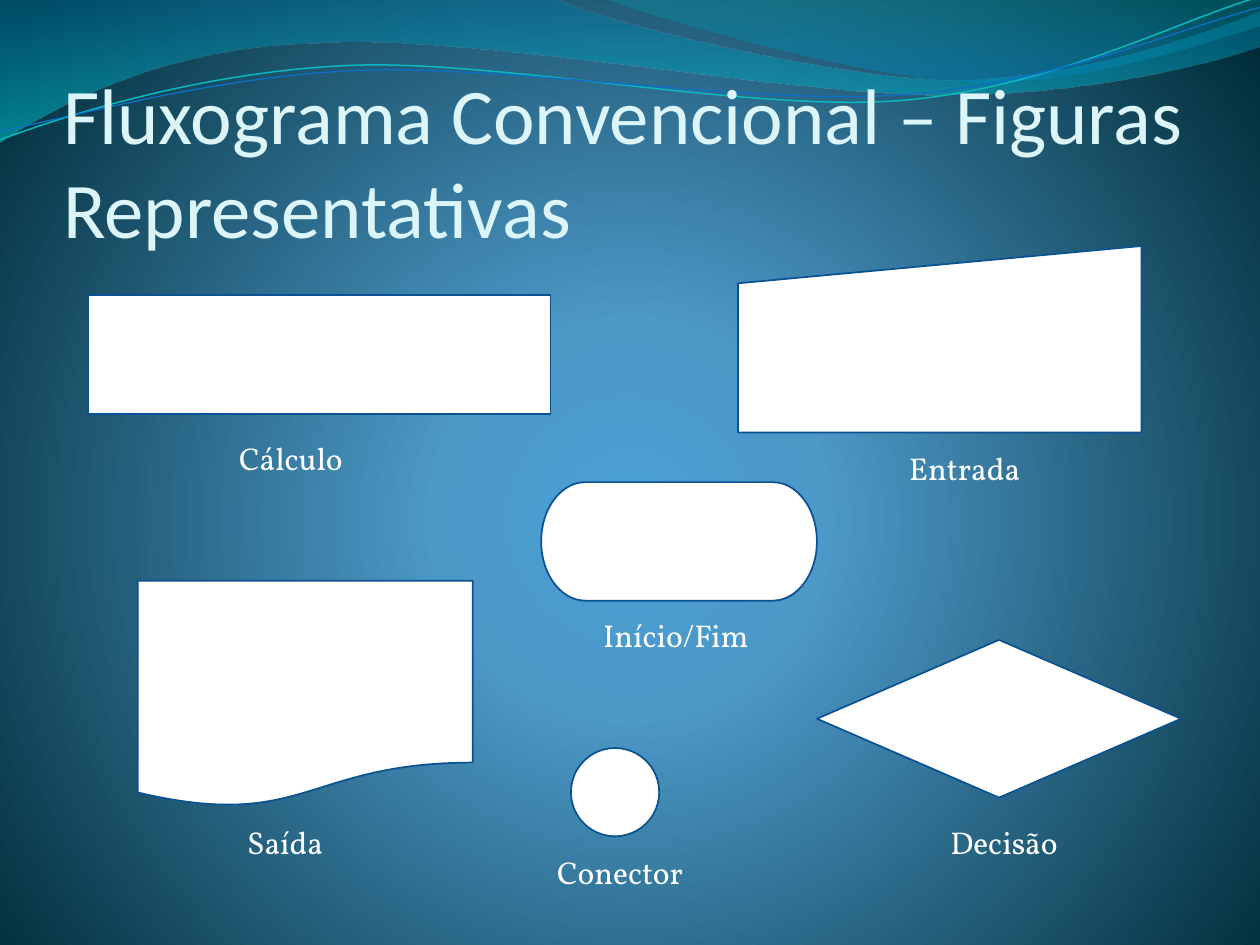
from math import cos, radians, sin

from lxml.etree import SubElement
from pptx import Presentation
from pptx.dml.color import RGBColor
from pptx.enum.shapes import MSO_SHAPE
from pptx.enum.text import MSO_ANCHOR, MSO_AUTO_SIZE, PP_ALIGN
from pptx.oxml.ns import qn
from pptx.util import Cm, Pt

WHITE = RGBColor(0xFF, 0xFF, 0xFF)
TITLE_COLOR = RGBColor(0xDB, 0xF5, 0xF9)
OUTLINE = RGBColor(0x0B, 0x52, 0x92)
TEAL = RGBColor(0x0A, 0xB8, 0xBF)
BLUE = RGBColor(0x0F, 0x6F, 0xC6)
STRAND_TILT = -2.7
STRAND_CENTER = (12.68, 1.47)

# Gradient stops: position, colour, opacity (all in percent)
BACKGROUND_STOPS = [(0, RGBColor(0x4A, 0xA0, 0xD6), 100),
                    (25, RGBColor(0x4C, 0x98, 0xC7), 100),
                    (100, RGBColor(0x00, 0x2C, 0x38), 100)]
WIDE_WAVE_STOPS = [(0, RGBColor(0x00, 0x74, 0xA1), 45),
                   (100, RGBColor(0x00, 0xC6, 0xCF), 55)]
RIGHT_WAVE_STOPS = [(0, RGBColor(0x00, 0xA1, 0xA9), 30),
                    (80, RGBColor(0x00, 0x8B, 0xBF), 45)]

# Outlines in cm: a start point, then segments of one point (line) or three (curve)
WIDE_WAVE = [
    [(0, 0)], [(11.18, -0.03)],
    [(12.09, 0.43), (16.87, 1.6), (19.25, 1.6)],
    [(21.67, 1.6), (24.33, 0.66), (25.4, 0.23)],
    [(25.43, 0.91)],
    [(24.97, 1.12), (22.1, 1.93), (18.95, 1.91)],
    [(15.8, 1.91), (9.7, 0.71), (6.53, 0.86)],
    [(3.28, 0.91), (1.17, 2.11), (-0.03, 2.87)],
    [(0, 0)],
]
RIGHT_WAVE = [
    [(12.17, -0.03)],
    [(12.93, 0.28), (17.32, 1.57), (19.53, 1.65)],
    [(21.74, 1.75), (24.41, 0.81), (25.4, 0.53)],
    [(25.4, 0)], [(12.17, -0.03)],
]
TEAL_STRAND = [
    [(0, 2.82)],
    [(1.22, 2.36), (4.01, 1.45), (7.04, 1.32)],
    [(10.03, 1.19), (15.06, 2.26), (18.11, 2.03)],
    [(21.16, 1.8), (23.83, 0.38), (25.35, -0.05)],
]
BLUE_STRAND = [
    [(0, 2.64)],
    [(1.19, 2.44), (4.17, 1.55), (7.19, 1.42)],
    [(10.24, 1.3), (15.16, 2.13), (18.21, 1.91)],
    [(21.23, 1.7), (23.9, 0.53), (25.4, 0.15)],
]

# Symbol, its box, label, label position, label alignment
FIGURES = [
    (MSO_SHAPE.FLOWCHART_PROCESS, (1.78, 5.95, 9.32, 2.39),
     "Cálculo", (4.57, 8.73), PP_ALIGN.LEFT),
    (MSO_SHAPE.FLOWCHART_DOCUMENT, (2.78, 11.71, 6.75, 4.57),
     "Saída", (3.77, 16.46), PP_ALIGN.CENTER),
    (MSO_SHAPE.FLOWCHART_MANUAL_INPUT, (14.88, 4.96, 8.13, 3.76),
     "Entrada", (17.47, 8.93), PP_ALIGN.CENTER),
    (MSO_SHAPE.FLOWCHART_DECISION, (16.47, 12.9, 7.34, 3.18),
     "Decisão", (18.26, 16.46), PP_ALIGN.CENTER),
    (MSO_SHAPE.FLOWCHART_TERMINATOR, (10.91, 9.72, 5.56, 2.39),
     "Início/Fim", (11.91, 12.29), PP_ALIGN.LEFT),
    (MSO_SHAPE.FLOWCHART_CONNECTOR, (11.51, 15.08, 1.78, 1.78),
     "Conector", (10.52, 17.07), PP_ALIGN.CENTER),
]
LABEL_SIZE = (3.96, 1.02)
LABEL_FONT = {"name": "Vollkorn", "size": Pt(18)}
LABEL_FRAME = {"auto_size": MSO_AUTO_SIZE.SHAPE_TO_FIT_TEXT}
TITLE_FONT = {"name": "Calibri", "size": Pt(45)}
TITLE_FRAME = {"vertical_anchor": MSO_ANCHOR.BOTTOM, "margin_left": 0,
               "margin_right": 0, "margin_top": Cm(0.13), "margin_bottom": 0}


def set_all(target, values):
    for name, value in values.items():
        setattr(target, name, value)


def paint_gradient(fill, element, stops, radial=False):
    """Give the fill found inside element a linear (downward) or radial gradient."""
    fill.gradient()
    gradient = next(element.iter(qn("a:gradFill")))
    for child in list(gradient):
        gradient.remove(child)
    stop_list = SubElement(gradient, qn("a:gsLst"))
    for position, color, opacity in stops:
        stop = SubElement(stop_list, qn("a:gs"), pos=str(position * 1000))
        tint = SubElement(stop, qn("a:srgbClr"), val=str(color))
        if opacity < 100:
            SubElement(tint, qn("a:alpha"), val=str(opacity * 1000))
    if radial:
        circle = SubElement(gradient, qn("a:path"), path="circle")
        SubElement(circle, qn("a:fillToRect"),
                   l="10000", t="110000", r="10000", b="100000")
    else:
        SubElement(gradient, qn("a:lin"), ang="5400000", scaled="1")


def turn(point, degrees, center):
    angle = radians(degrees)
    dx, dy = point[0] - center[0], point[1] - center[1]
    return (center[0] + dx * cos(angle) - dy * sin(angle),
            center[1] + dx * sin(angle) + dy * cos(angle))


def add_outline(slide, outline, close):
    """Build a freeform, joining each three-point segment into one Bézier curve."""
    start, *rest = [(Cm(x), Cm(y)) for segment in outline for x, y in segment]
    builder = slide.shapes.build_freeform(*start)
    builder.add_line_segments(rest, close=close)
    shape = builder.convert_to_shape()
    shape.shadow.inherit = False
    lines = shape.element.iter(qn("a:lnTo"))
    lines = iter(list(lines))
    for segment in outline[1:]:
        first, *others = [next(lines) for _ in segment]
        if others:
            first.tag = qn("a:cubicBezTo")
        for line in others:
            first.append(line[0])
            line.getparent().remove(line)
    return shape


def add_wave(slide, outline, stops):
    wave = add_outline(slide, outline, close=True)
    paint_gradient(wave.fill, wave.element, stops)
    wave.line.fill.background()


def draw_line(shape, color, width):
    shape.line.color.rgb = color
    shape.line.width = Pt(width)


def add_strand(slide, outline, color, width):
    """Draw a line levelled out, then tilted as a whole."""
    level = [[turn(point, -STRAND_TILT, STRAND_CENTER) for point in segment]
             for segment in outline]
    strand = add_outline(slide, level, close=False)
    strand.rotation = STRAND_TILT
    strand.fill.background()
    draw_line(strand, color, width)


def add_symbol(slide, kind, bounds):
    symbol = slide.shapes.add_shape(kind, *map(Cm, bounds))
    symbol.shadow.inherit = False
    symbol.fill.solid()
    symbol.fill.fore_color.rgb = WHITE
    draw_line(symbol, OUTLINE, 1)


def add_text(slide, text, bounds, font, color, frame, align=PP_ALIGN.LEFT):
    box = slide.shapes.add_textbox(*map(Cm, bounds))
    box.text_frame.word_wrap = True
    set_all(box.text_frame, frame)
    para = box.text_frame.paragraphs[0]
    para.alignment = align
    span = para.add_run()
    span.text = text
    set_all(span.font, font)
    span.font.color.rgb = color


def main():
    deck = Presentation()
    set_all(deck, {"slide_width": Cm(25.4), "slide_height": Cm(19.05)})
    slide = deck.slides.add_slide(deck.slide_layouts[6])
    paint_gradient(slide.background.fill, slide.element, BACKGROUND_STOPS, radial=True)
    add_wave(slide, WIDE_WAVE, WIDE_WAVE_STOPS)
    add_wave(slide, RIGHT_WAVE, RIGHT_WAVE_STOPS)
    add_strand(slide, TEAL_STRAND, TEAL, 0.85)
    add_strand(slide, BLUE_STRAND, BLUE, 0.75)
    add_text(slide, "Fluxograma Convencional – Figuras Representativas",
             (1.28, 1.95, 22.86, 3.18), TITLE_FONT, TITLE_COLOR, TITLE_FRAME)
    for kind, bounds, label, position, align in FIGURES:
        add_symbol(slide, kind, bounds)
        add_text(slide, label, position + LABEL_SIZE, LABEL_FONT, WHITE,
                 LABEL_FRAME, align)
    deck.save("out.pptx")


if __name__ == "__main__":
    main()
